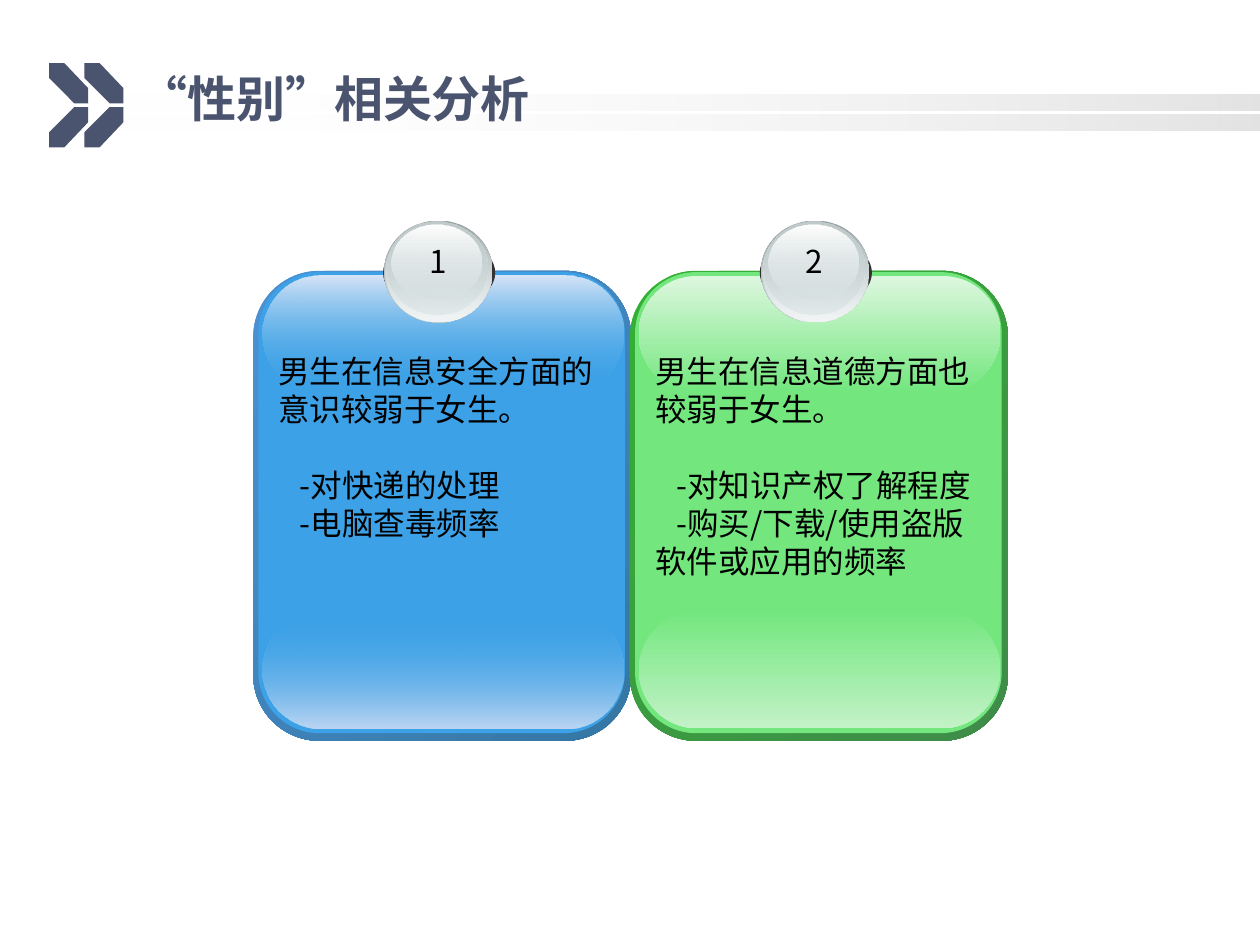
from lxml import etree
from pptx import Presentation, util as u
from pptx.dml.color import RGBColor
from pptx.enum import shapes as sh, text as tx
from pptx.oxml import ns

FONT = "Noto Sans CJK SC"
NAVY = "4B546F"

prs = Presentation()
prs.slide_width, prs.slide_height = u.Inches(10), u.Inches(7.5)
slide = prs.slides.add_slide(prs.slide_layouts[6])


def paint(item, stops, angle=90):
    """Fill with one hex colour, or with a gradient of (hex, opacity %) stops."""
    item.shadow.inherit = False
    item.line.fill.background()
    if isinstance(stops, str):
        item.fill.solid()
        item.fill.fore_color.rgb = RGBColor.from_string(stops)
        return
    item.fill.gradient()
    grad = item.fill._xPr.find(ns.qn("a:gradFill"))
    for child in list(grad):
        grad.remove(child)
    group = etree.SubElement(grad, ns.qn("a:gsLst"))
    for pos, (color, alpha) in zip((0, 100000), stops):
        stop = etree.SubElement(group, ns.qn("a:gs"), pos=str(pos))
        rgb = etree.SubElement(stop, ns.qn("a:srgbClr"), val=color)
        if alpha < 100:
            etree.SubElement(rgb, ns.qn("a:alpha"), val=str(alpha * 1000))
    etree.SubElement(grad, ns.qn("a:lin"), ang=str(angle * 60000), scaled="0")


def write(box, lines, size, color, bold=False):
    frame = slide.shapes.add_textbox(*map(u.Inches, box)).text_frame
    frame.word_wrap = True
    frame.text = "\n".join(lines)
    for para in frame.paragraphs:
        para.line_spacing = u.Pt(21.7)
        for run in para.runs:
            run.font.name, run.font.size, run.font.bold = FONT, u.Pt(size), bold
            run.font.color.rgb = RGBColor.from_string(color)
            etree.SubElement(run.font._element, ns.qn("a:ea"), typeface=FONT)
    return frame


# Header bars and chevrons
for top in (0.75, 0.91):
    bar = slide.shapes.add_shape(sh.MSO_SHAPE.RECTANGLE, u.Inches(0.75),
                                 u.Inches(top), u.Inches(9.25), u.Inches(0.13))
    paint(bar, [("FFFFFF", 0), ("969696", 27)], 0)

arm = [(0, 0), (0, 0.12), (0.2, 0.32), (0.31, 0.32), (0.31, 0.2), (0.12, 0)]
for left in (0.39, 0.67):
    for edge, sign in ((0.5, 1), (1.17, -1)):
        pts = [(u.Inches(left + x), u.Inches(edge + sign * y)) for x, y in arm]
        pen = slide.shapes.build_freeform(*pts[0])
        pen.add_line_segments(pts[1:], close=True)
        paint(pen.convert_to_shape(), NAVY)

title = write((1, 0.5, 8.25, 0.62), ["“性别”相关分析"], 28, NAVY, True)
title.vertical_anchor = tx.MSO_ANCHOR.MIDDLE
title.paragraphs[0].line_spacing = 0.9

# Two panels: rim, base colour, opacity of the sheen at its base end, light ends, text
panels = [
    (("4E91D4", "3477A4"), "3CA1E6", 0, "D7E5F7", "BDD6F3",
     ["男生在信息安全方面的意识较弱于女生。", "-对快递的处理", "-电脑查毒频率"]),
    (("34B034", "3F8B4A"), "73E77E", 100, "DDF7DF", "C3F2C7",
     ["男生在信息道德方面也较弱于女生。", "-对知识产权了解程度",
      "-购买/下载/使用盗版软件或应用的频率"]),
]
badge = [
    (3.04, 1.88, 0.89, 0.57, "333333"),
    (3.05, 1.75, 0.86, 0.81, [("99A1A2", 100), ("D6E1E2", 100)]),
    (3.06, 1.76, 0.84, 0.79, [("D6E1E2", 0), ("F2F5F5", 100)]),
    (3.07, 1.76, 0.8, 0.74, [("C1CBCC", 100), ("D6E1E2", 48)]),
    (3.11, 1.78, 0.71, 0.6, [("FFFFFF", 100), ("D6E1E2", 38)]),
]
for num, (rim, base, fade, light, glow, lines) in enumerate(panels):
    shift = num * 2.99
    cards = [
        (2.01, 2.15, 3, 3.73, 0.175, [(rim[0], 100), (rim[1], 100)], 45),
        (2.05, 2.16, 2.91, 3.66, 0.167, base, 0),
        (2.08, 4.85, 2.87, 0.93, 0.5, [(base, fade), (glow, 100)], 90),
        (2.08, 2.19, 2.87, 0.92, 0.5, [(light, 100), (base, fade)], 90),
    ]
    for x, y, w, h, curve, fill, angle in cards:
        card = slide.shapes.add_shape(sh.MSO_SHAPE.ROUNDED_RECTANGLE,
                                      *map(u.Inches, (x + shift, y, w, h)))
        card.adjustments[0] = curve
        paint(card, fill, angle)
    for x, y, w, h, fill in badge:
        disc = slide.shapes.add_shape(sh.MSO_SHAPE.OVAL,
                                      *map(u.Inches, (x + shift, y, w, h)))
        paint(disc, fill)

    label = write((3.3 + shift, 1.87, 0.35, 0.4), [str(num + 1)], 18, "000000")
    label.word_wrap = False
    label.paragraphs[0].alignment = tx.PP_ALIGN.CENTER

    body = write((2.11 + shift, 2.74, 2.85, 1.62), lines, 18, "000000")
    for para in body.paragraphs[1:]:
        para._p.get_or_add_pPr().set("indent", str(u.Inches(0.17)))
    body.paragraphs[1].space_before = u.Pt(21.7)

prs.save("out.pptx")
